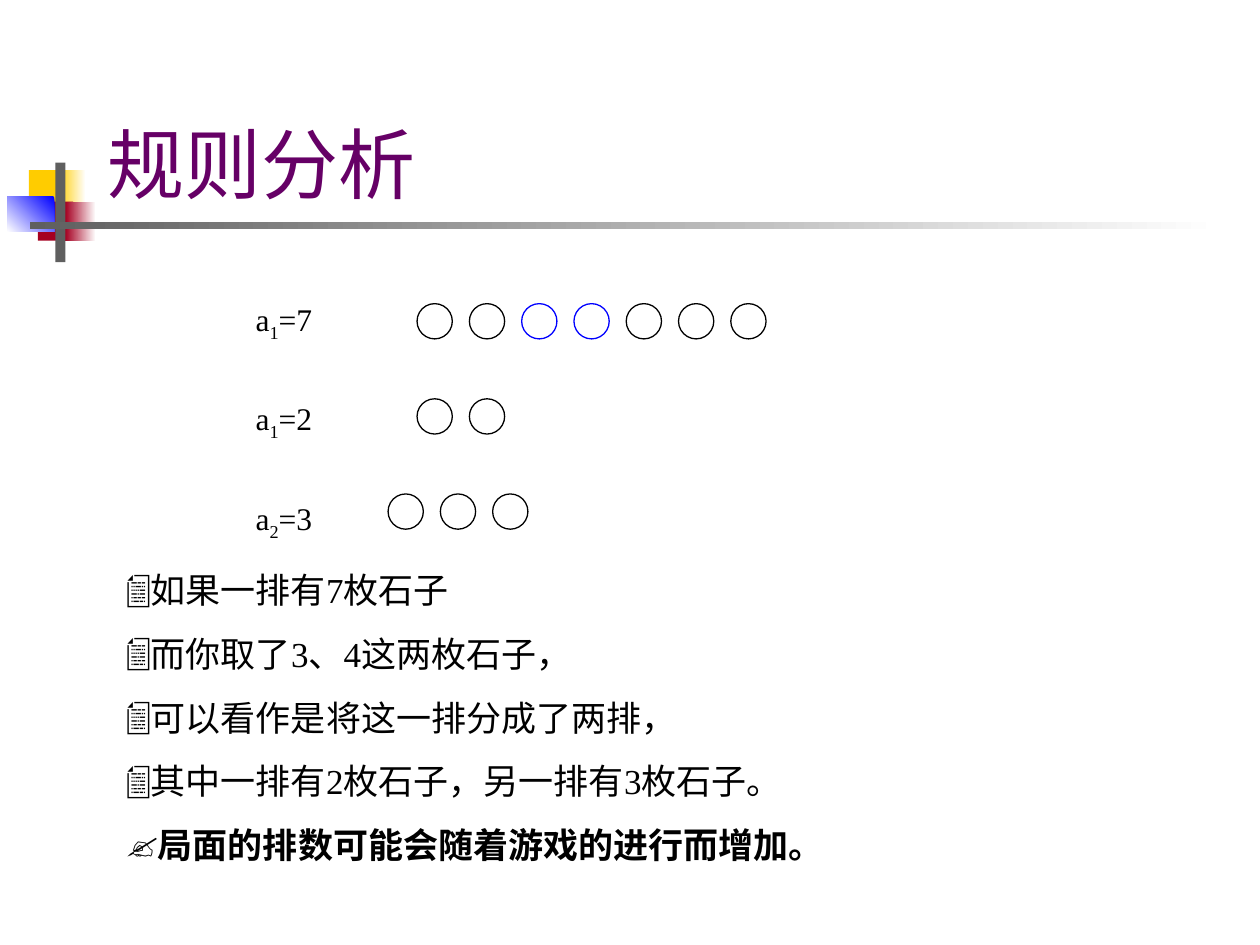
from lxml.etree import SubElement
from pptx import Presentation
from pptx.dml.color import RGBColor
from pptx.enum.shapes import MSO_SHAPE
from pptx.enum.text import MSO_ANCHOR, MSO_AUTO_SIZE, PP_ALIGN
from pptx.oxml.ns import qn
from pptx.util import Inches, Pt

COLORS = {"white": "FFFFFF", "yellow": "FFCC00", "red": "A50021", "blue": "0000FF",
          "gray": "5F5F5F", "purple": "660066", "black": "000000"}
RGB = {name: RGBColor.from_string(value) for name, value in COLORS.items()}

prs = Presentation()
prs.slide_width, prs.slide_height = Inches(10), Inches(7.5)
COL, ROW = prs.slide_width / 100, prs.slide_height / 75


def grid(x, y, w, h):
    return [int(v) for v in (x * COL, y * ROW, w * COL, h * ROW)]


def add_text(p, text, size=18, font="Times New Roman", color="black", bold=False, base=0):
    r = p.add_run()
    r.text = text
    r.font.size, r.font.name, r.font.bold = Pt(size), font, bold
    r.font.color.rgb = RGB[color]
    if base:
        r._r.get_or_add_rPr().set("baseline", str(base * 1000))


s = prs.slides.add_slide(prs.slide_layouts[1])

decor = [
    ((2.3, 13.5, 2.9, 3.1), ["yellow"], 0),
    ((4.6, 13.5, 2.2, 3.1), ["white", "yellow"], 180),
    ((3, 16, 2.8, 3.1), ["red"], 0),
    ((5.2, 16, 2.4, 3.1), ["white", "red"], 180),
    ((0.6, 15.6, 3.7, 2.8), ["blue", "white"], 225),
    ((4.4, 12.9, 0.8, 7.9), ["gray"], 0),
    ((2.4, 17.6, 94.5, 0.6), ["white", "gray"], 180),
]
for place, colors, angle in decor:
    sp = s.shapes.add_shape(MSO_SHAPE.RECTANGLE, *grid(*place))
    sp.shadow.inherit = False
    sp.line.fill.background()
    if len(colors) == 1:
        sp.fill.solid()
        sp.fill.fore_color.rgb = RGB[colors[0]]
    else:
        sp.fill.gradient()
        sp.fill.gradient_angle = angle
        for stop, color in zip(sp.fill.gradient_stops, colors):
            stop.color.rgb = RGB[color]

title = s.shapes.title
title.left, title.top, title.width, title.height = grid(7.5, 6.7, 88.4, 12.5)
title.text_frame.vertical_anchor = MSO_ANCHOR.MIDDLE
p = title.text_frame.paragraphs[0]
p.alignment = PP_ALIGN.LEFT
add_text(p, "规则分析", size=44, font="Arial", color="purple")

stone_rows = [("1", 7, 33.1, (2, 3)), ("1", 2, 33.1, ()), ("2", 3, 30.8, ())]
for i, (index, count, left, taken) in enumerate(stone_rows):
    group = s.shapes.add_group_shape()
    tf = group.shapes.add_textbox(*grid(19.3, 23.3 + 7.9 * i, 12.4, 4.8)).text_frame
    tf.word_wrap = True
    p = tf.paragraphs[0]
    p.alignment = PP_ALIGN.JUSTIFY
    add_text(p, "a")
    add_text(p, index, base=-25)
    add_text(p, f"={count}")
    for j in range(count):
        stone = group.shapes.add_shape(
            MSO_SHAPE.OVAL, *grid(left + 4.15 * j, 24.1 + 7.55 * i, 2.8, 2.8))
        stone.shadow.inherit = False
        stone.fill.solid()
        stone.fill.fore_color.rgb = RGB["white"]
        stone.line.color.rgb = RGB["blue" if j in taken else "black"]
        stone.line.width = Pt(0.75)

body = s.placeholders[1]
body.left, body.top, body.width, body.height = grid(9, 44.6, 78, 24.6)
tf = body.text_frame
tf.word_wrap = True
tf.auto_size = MSO_AUTO_SIZE.SHAPE_TO_FIT_TEXT
points = [
    ("📄", "如果一排有7枚石子"),
    ("📄", "而你取了3、4这两枚石子，"),
    ("📄", "可以看作是将这一排分成了两排，"),
    ("📄", "其中一排有2枚石子，另一排有3枚石子。"),
    ("✍", "局面的排数可能会随着游戏的进行而增加。"),
]
for i, (bullet, text) in enumerate(points):
    p = tf.add_paragraph() if i else tf.paragraphs[0]
    p.space_before = Pt(12.5 if i else 0)
    pPr = p._p.get_or_add_pPr()
    pPr.set("marL", "0")
    pPr.set("indent", "0")
    SubElement(SubElement(pPr, qn("a:buClr")), qn("a:srgbClr"), val=COLORS["black"])
    SubElement(pPr, qn("a:buFont"), typeface="Times New Roman")
    SubElement(pPr, qn("a:buChar"), char=bullet)
    add_text(p, text, size=20, bold=bullet == "✍")

prs.save("out.pptx")
